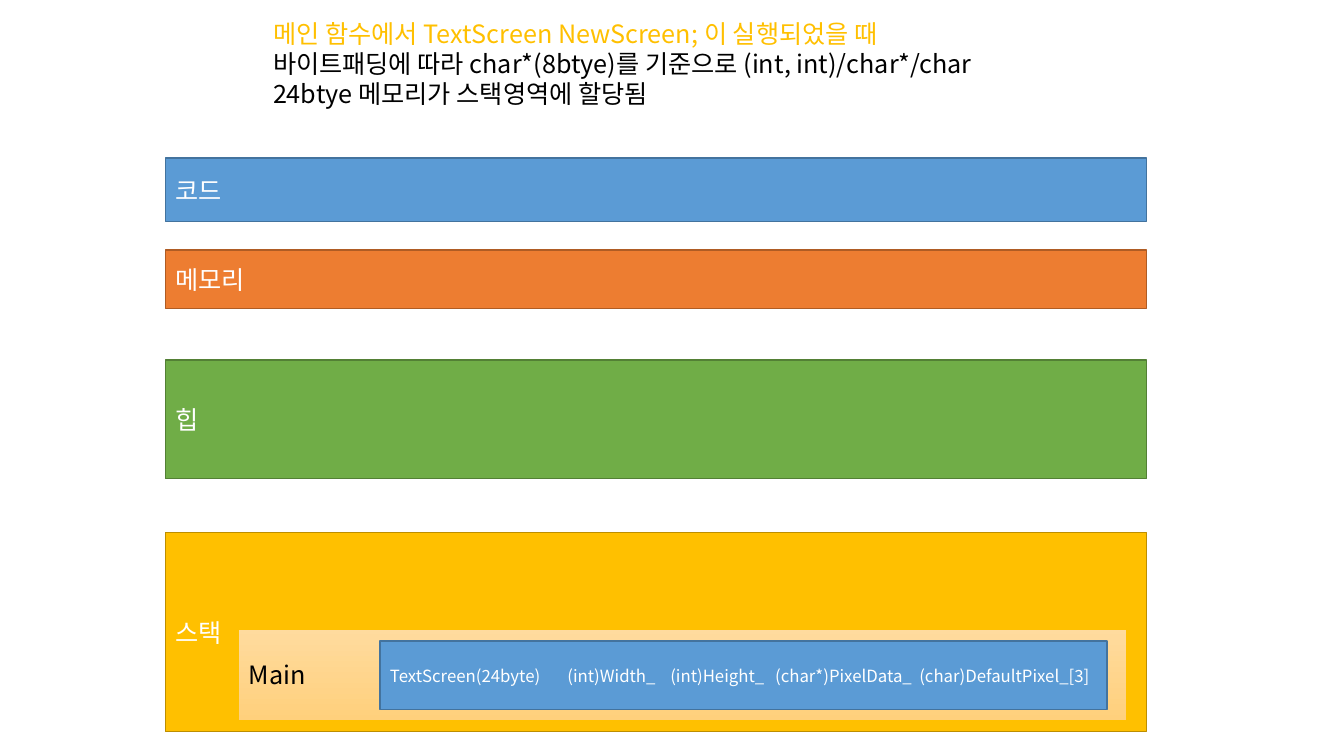
import pptx
import pptx.dml.color
import pptx.enum.shapes
import pptx.enum.text
import pptx.oxml
import pptx.oxml.ns
import pptx.util
from lxml import etree

FONT = "Noto Sans CJK KR"
COLORS = {
    "white": "FFFFFF", "black": "000000",
    "blue": "5B9BD5", "blue_line": "43739E",
    "orange": "ED7D31", "orange_line": "AF5C24",
    "green": "70AD47", "green_line": "538035",
    "gold": "FFC000", "gold_line": "BD8E00",
    "frame_top": "FFDB9E", "frame_bottom": "FFD07C",
}
# Label, colour, top and height in percent of the slide
REGIONS = [
    ("코드", "blue", 20.93, 8.4),
    ("메모리", "orange", 33.07, 7.73),
    ("힙", "green", 47.6, 15.73),
    ("스택", "gold", 70.4, 26.4),
]
MEMBERS = ["TextScreen(24byte)", "(int)Width_", "(int)Height_",
           "(char*)PixelData_", "(char)DefaultPixel_[3]"]
MEMBER_TABS = [1.76, 2.78, 3.82, 5.25]
CAPTION = [
    ("메인 함수에서 TextScreen NewScreen; 이 실행되었을 때", "gold"),
    ("바이트패딩에 따라 char*(8btye)를 기준으로 (int, int)/char*/char", "black"),
    ("24btye 메모리가 스택영역에 할당됨", "black"),
]


def rgb(name):
    """Return the named colour."""
    return pptx.dml.color.RGBColor.from_string(COLORS[name])


def part(box, left, top, width, height):
    """Return the box that covers the given percentages of another box."""
    x, y, w, h = box
    return (int(x + w * left / 100), int(y + h * top / 100),
            int(w * width / 100), int(h * height / 100))


def write(paragraph, text, color, size=18):
    """Fill a left-aligned paragraph and set its font for all scripts."""
    paragraph.text = text
    paragraph.alignment = pptx.enum.text.PP_ALIGN.LEFT
    font = paragraph.font
    font.name = FONT
    font.size = pptx.util.Pt(size)
    font.color.rgb = rgb(color)
    properties = paragraph._p.pPr.find(pptx.oxml.ns.qn("a:defRPr"))
    latin = properties.find(pptx.oxml.ns.qn("a:latin"))
    east_asian = etree.Element(pptx.oxml.ns.qn("a:ea"), typeface=FONT)
    latin.addnext(east_asian)


def add_block(slide, box, text, fill, line, color="white", size=18, weight=1):
    """Add a labelled rectangle that fills the box."""
    shape = slide.shapes.add_shape(pptx.enum.shapes.MSO_SHAPE.RECTANGLE, *box)
    shape.shadow.inherit = False
    shape.fill.solid()
    shape.fill.fore_color.rgb = rgb(fill)
    shape.line.color.rgb = rgb(line)
    shape.line.width = pptx.util.Pt(weight)
    shape.text_frame.vertical_anchor = pptx.enum.text.MSO_ANCHOR.MIDDLE
    write(shape.text_frame.paragraphs[0], text, color, size)
    return shape


def add_tab_stops(paragraph, positions):
    """Set left tab stops, in inches, on a paragraph."""
    properties = paragraph._p.get_or_add_pPr()
    tabs = etree.Element(pptx.oxml.ns.qn("a:tabLst"))
    for position in positions:
        etree.SubElement(tabs, pptx.oxml.ns.qn("a:tab"), algn="l",
                         pos=str(pptx.util.Inches(position)))
    properties.find(pptx.oxml.ns.qn("a:defRPr")).addprevious(tabs)


def add_caption(slide, box):
    """Add the explanation above the memory regions."""
    frame = slide.shapes.add_textbox(*box).text_frame
    frame.word_wrap = True
    for index, (text, color) in enumerate(CAPTION):
        paragraph = frame.add_paragraph() if index else frame.paragraphs[0]
        write(paragraph, text, color)


def add_main_frame(slide, box):
    """Add the stack frame of Main with the object it holds."""
    frame = add_block(slide, box, "Main", "frame_top", "gold", "black", weight=0.5)
    frame.fill.gradient()
    frame.fill.gradient_angle = 270
    for stop, name in zip(frame.fill.gradient_stops, ("frame_top", "frame_bottom")):
        stop.color.rgb = rgb(name)
    screen = add_block(slide, part(box, 15.91, 13.19, 81.93, 74.73),
                       "\t".join(MEMBERS), "blue", "blue_line", size=12)
    add_tab_stops(screen.text_frame.paragraphs[0], MEMBER_TABS)


def add_memory_map(slide, box):
    """Add the four memory regions, with the Main frame in the last one."""
    for label, color, top, height in REGIONS:
        region = part(box, 12.3, top, 73, height)
        add_block(slide, region, label, color, color + "_line")
    add_main_frame(slide, part(region, 7.5, 48.5, 90.44, 45.96))


def main():
    """Build and save the slide."""
    presentation = pptx.Presentation()
    presentation.slide_width = pptx.util.Inches(13.33)
    presentation.slide_height = pptx.util.Inches(7.5)
    slide = presentation.slides.add_slide(presentation.slide_layouts[6])
    page = (0, 0, presentation.slide_width, presentation.slide_height)
    add_memory_map(slide, page)
    add_caption(slide, part(page, 19.58, 1.73, 58.36, 13.47))
    presentation.save("out.pptx")


main()
